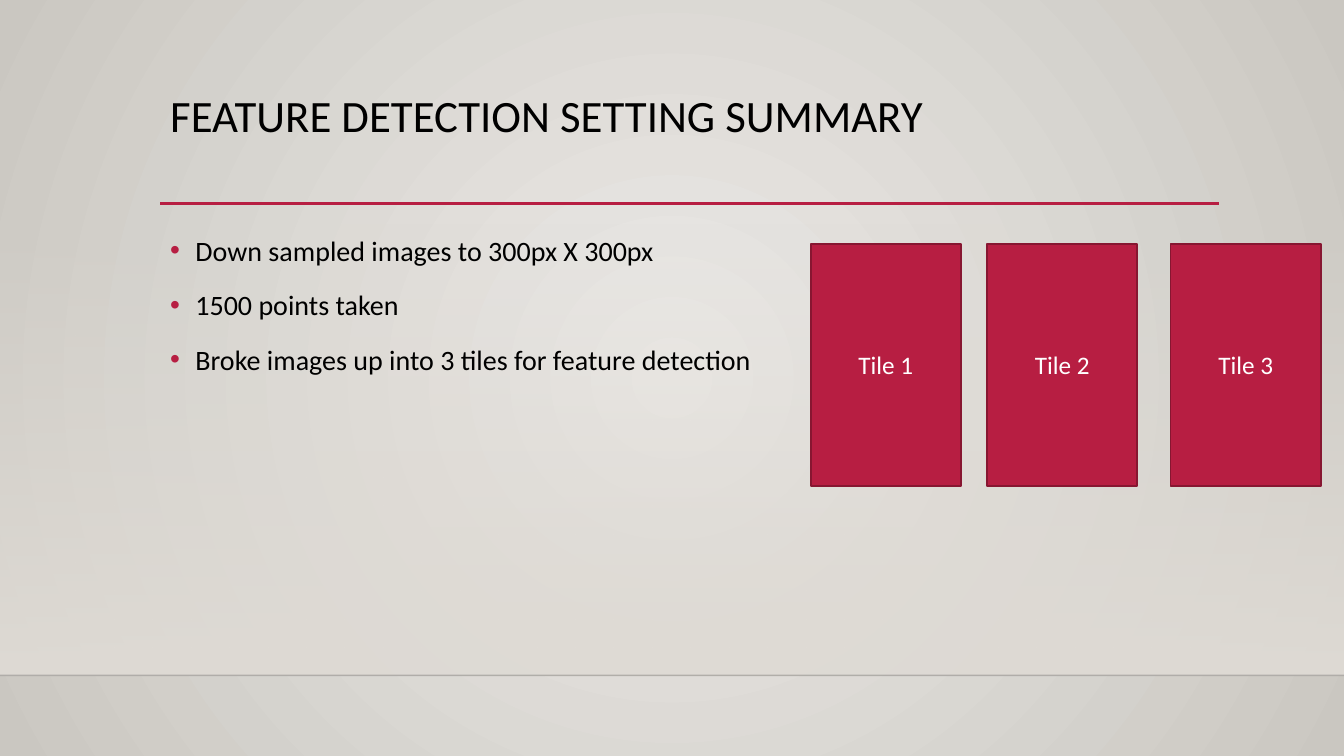
from lxml import etree
from pptx import Presentation
from pptx.dml.color import RGBColor
from pptx.enum.shapes import MSO_CONNECTOR, MSO_SHAPE
from pptx.enum.text import MSO_ANCHOR, PP_ALIGN
from pptx.oxml import parse_xml
from pptx.oxml.ns import nsdecls, qn
from pptx.util import Inches, Pt

STRAIGHT = MSO_CONNECTOR.STRAIGHT
RECTANGLE = MSO_SHAPE.RECTANGLE
TOP, MIDDLE = MSO_ANCHOR.TOP, MSO_ANCHOR.MIDDLE
CENTER = PP_ALIGN.CENTER

WIDTH, HEIGHT = 13.33, 7.5
FLOOR = 6.7
MARGIN = 1.59
FONT = "Calibri"
CRIMSON, DARK_CRIMSON = "B71E42", "871631"
BLACK, WHITE = "000000", "FFFFFF"

TITLE = "FEATURE DETECTION SETTING SUMMARY"
SETTINGS = [
    "Down sampled images to 300px X 300px",
    "1500 points taken",
    "Broke images up into 3 tiles for feature detection",
]
TILE_OFFSETS = {"Tile 1": 0, "Tile 2": 1.75, "Tile 3": 3.57}
TILE_WIDTH = 1.49


def color(hex_code):
    return RGBColor.from_string(hex_code)


def style(paragraph, size, hex_code):
    paragraph.font.name = FONT
    paragraph.font.size = Pt(size)
    paragraph.font.color.rgb = color(hex_code)


def set_gradient(fill, owner, stops, direction):
    """Fill with (position, colour, opacity) stops; direction is an XML tag."""
    fill.solid()
    solid = owner.find(".//" + qn("a:solidFill"))
    stop_xml = "".join(
        f'<a:gs pos="{position * 1000}"><a:srgbClr val="{hex_code}">'
        f'<a:alpha val="{opacity * 1000}"/></a:srgbClr></a:gs>'
        for position, hex_code, opacity in stops)
    gradient = parse_xml(
        f'<a:gradFill {nsdecls("a")} rotWithShape="1">'
        f"<a:gsLst>{stop_xml}</a:gsLst>{direction}</a:gradFill>")
    solid.getparent().replace(solid, gradient)


def add_rule(slide, left, top, width, hex_code, weight):
    rule = slide.shapes.add_connector(
        STRAIGHT, Inches(left), Inches(top), Inches(left + width), Inches(top))
    rule.line.color.rgb = color(hex_code)
    rule.line.width = Pt(weight)
    etree.SubElement(rule.element.spPr, qn("a:effectLst"))
    return rule


def add_rectangle(slide, left, top, width, height):
    rectangle = slide.shapes.add_shape(
        RECTANGLE, Inches(left), Inches(top), Inches(width), Inches(height))
    rectangle.shadow.inherit = False
    return rectangle


def add_text_frame(slide, left, top, width, height):
    frame = slide.shapes.add_textbox(
        Inches(left), Inches(top), Inches(width), Inches(height)).text_frame
    frame.word_wrap = True
    frame.vertical_anchor = TOP
    return frame


def add_backdrop(slide, wall_top, floor):
    center = ('<a:path path="circle"><a:fillToRect l="50000" t="50000" '
              'r="50000" b="50000"/></a:path>')
    set_gradient(slide.background.fill, slide.element,
                 [(0, "ECEAE7", 100), (100, "CAC7C1", 100)], center)

    wall = add_rectangle(slide, 0, wall_top, WIDTH, floor - wall_top)
    wall.line.fill.background()
    set_gradient(wall.fill, wall.element,
                 [(0, "DFDBD5", 0), (100, "DFDBD5", 100)],
                 '<a:lin ang="5400000" scaled="0"/>')

    floor_line = add_rule(slide, 0, floor, WIDTH, "000001", 1)
    line_color = floor_line.element.find(".//" + qn("a:srgbClr"))
    etree.SubElement(line_color, qn("a:alpha"), val="20000")


def add_title(slide, left, top, width, height):
    add_rule(slide, left, top + height - 0.01, width, CRIMSON, 2.5)
    heading = add_text_frame(slide, left, top, width, height).paragraphs[0]
    heading.text = TITLE
    heading.line_spacing = 0.9
    style(heading, 32, BLACK)


def add_bullet(paragraph):
    properties = paragraph._p.get_or_add_pPr()
    properties.set("marL", str(Inches(0.25)))
    properties.set("indent", str(-Inches(0.25)))
    bullet_color = etree.SubElement(properties, qn("a:buClr"))
    etree.SubElement(bullet_color, qn("a:srgbClr"), val=CRIMSON)
    etree.SubElement(properties, qn("a:buFont"), typeface="Arial")
    etree.SubElement(properties, qn("a:buChar"), char="•")


def add_settings(slide, left, top, width, height):
    frame = add_text_frame(slide, left, top, width, height)
    frame.text = "\n".join(SETTINGS)
    for index, setting in enumerate(frame.paragraphs):
        add_bullet(setting)
        setting.line_spacing = 1.2
        setting.space_before = Pt(10 if index else 0)
        style(setting, 20, BLACK)


def add_tiles(slide, left, top, height):
    for label, offset in TILE_OFFSETS.items():
        tile = add_rectangle(slide, left + offset, top, TILE_WIDTH, height)
        tile.fill.solid()
        tile.fill.fore_color.rgb = color(CRIMSON)
        tile.line.color.rgb = color(DARK_CRIMSON)
        tile.line.width = Pt(1.25)
        tile.text_frame.text = label
        tile.text_frame.vertical_anchor = MIDDLE
        caption = tile.text_frame.paragraphs[0]
        caption.alignment = CENTER
        style(caption, 18, WHITE)


def main():
    presentation = Presentation()
    presentation.slide_width = Inches(WIDTH)
    presentation.slide_height = Inches(HEIGHT)
    slide = presentation.slides.add_slide(presentation.slide_layouts[6])
    add_backdrop(slide, 2.21, FLOOR)
    add_title(slide, MARGIN, 0.88, 10.5, 1.15)
    add_settings(slide, MARGIN, 2.2, 6.3, 3.77)
    add_tiles(slide, 8.04, 2.42, 2.4)
    presentation.save("out.pptx")


if __name__ == "__main__":
    main()
